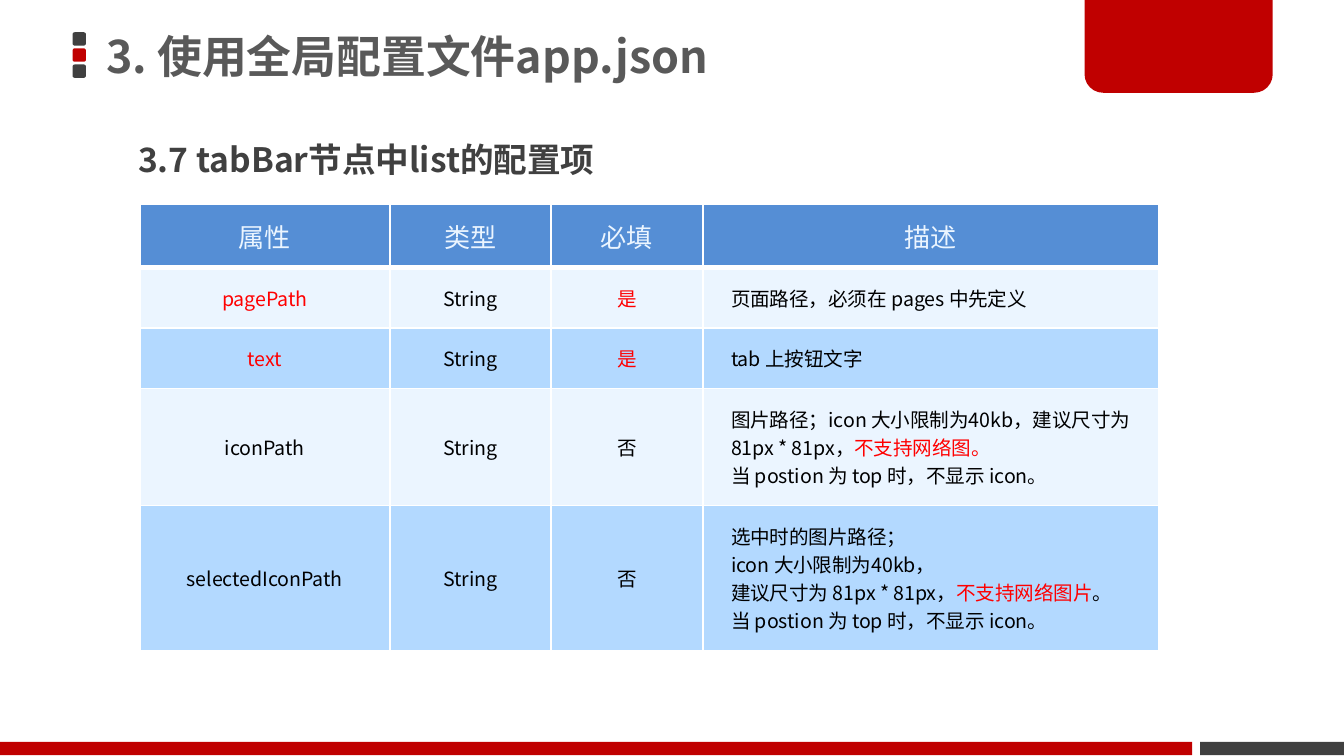
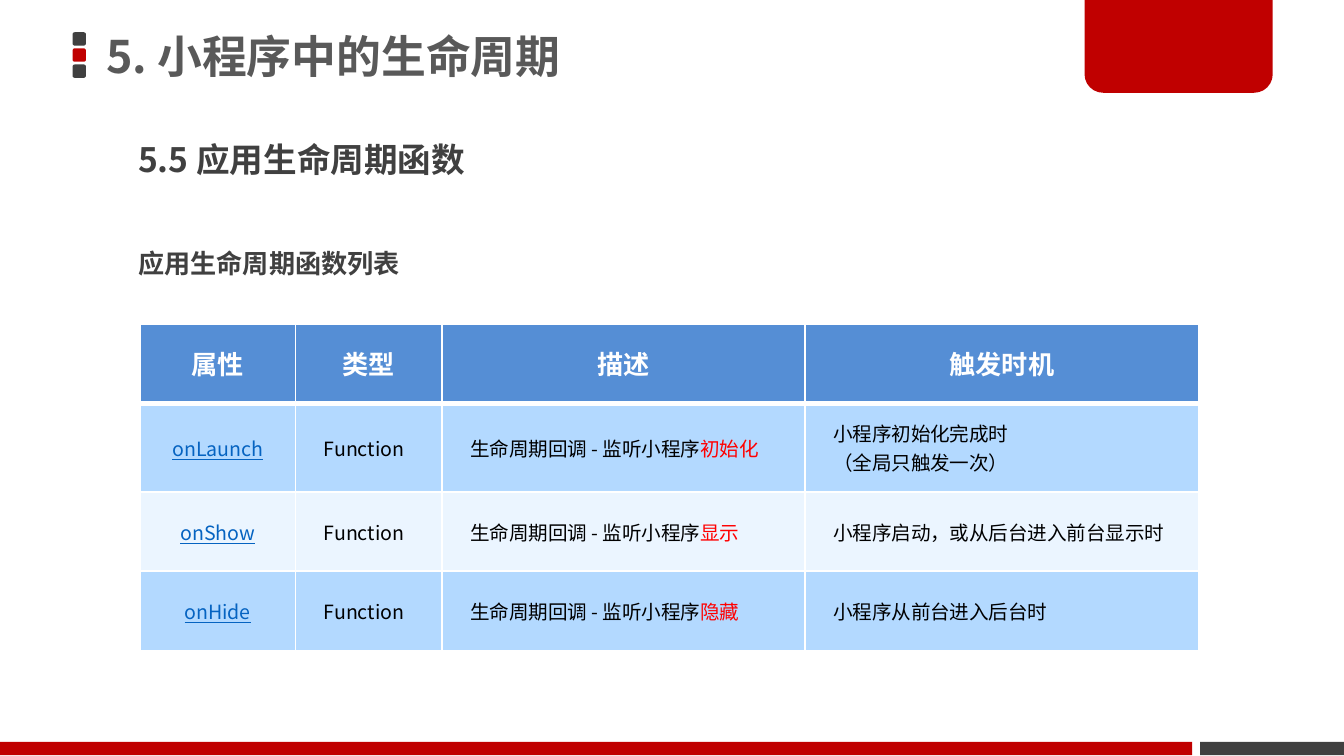
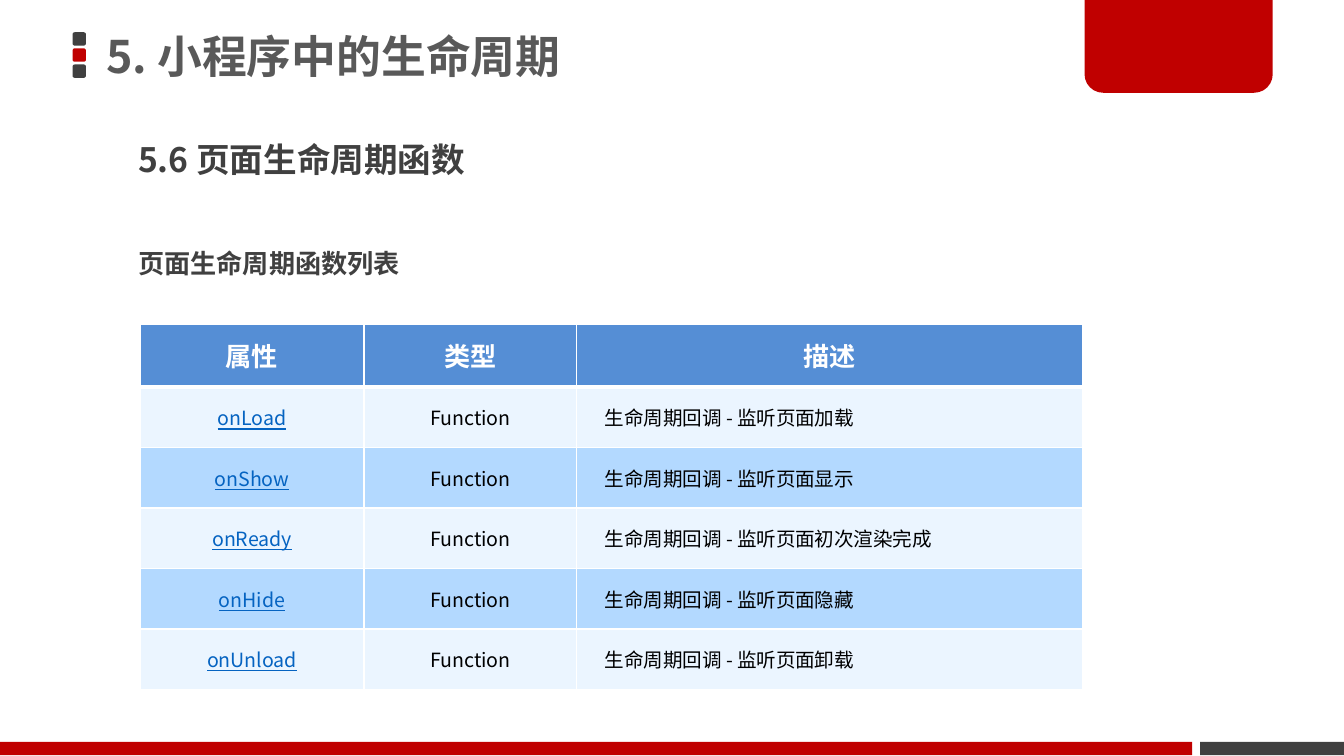
import pptx
import pptx.util
from lxml import etree
from pptx.dml.color import RGBColor
from pptx.enum.shapes import MSO_SHAPE
from pptx.enum.text import MSO_ANCHOR, MSO_AUTO_SIZE, PP_ALIGN
from pptx.oxml.ns import qn
from pptx.util import Inches

FONT = "Noto Sans CJK SC"
CRIMSON = RGBColor(0xC0, 0x00, 0x00)
DARK = RGBColor(0x40, 0x40, 0x40)
TITLE_GREY = RGBColor(0x59, 0x59, 0x59)
RED = RGBColor(0xFF, 0x00, 0x00)
BLACK = RGBColor(0x00, 0x00, 0x00)
WHITE = RGBColor(0xFF, 0xFF, 0xFF)
LINK_BLUE = RGBColor(0x05, 0x63, 0xC1)
HEADER_BLUE = RGBColor(0x55, 0x8E, 0xD5)
PALE = RGBColor(0xEB, 0xF5, 0xFF)
SKY = RGBColor(0xB3, 0xD9, 0xFF)

# Bands and marks on every slide: preset, left, top, width, height, colour, adjustments
DECORATION = [
    (MSO_SHAPE.ROUNDED_RECTANGLE, 0.54, 0.24, 0.1, 0.1, DARK, [0.167]),
    (MSO_SHAPE.ROUNDED_RECTANGLE, 0.54, 0.36, 0.1, 0.1, CRIMSON, [0.167]),
    (MSO_SHAPE.ROUNDED_RECTANGLE, 0.54, 0.48, 0.1, 0.1, DARK, [0.167]),
    (MSO_SHAPE.RECTANGLE, 8.93, 5.52, 1.07, 0.1, DARK, []),
    (MSO_SHAPE.ROUND_2_SAME_RECTANGLE, 8.07, 0, 1.4, 0.69, CRIMSON, [0, 0.2]),
    (MSO_SHAPE.RECTANGLE, 0, 5.52, 8.87, 0.1, CRIMSON, []),
]

# Slide contents; text between bars is red, \n starts a paragraph, \v breaks a line
ICON_NOTE = "当 postion 为 top 时，不显示".replace(" ", chr(160)) + " icon。"
CALLBACK = "生命周期回调 - 监听"
PAGE_HOOKS = [("onLoad", "加载"), ("onShow", "显示"), ("onReady", "初次渲染完成"),
              ("onHide", "隐藏"), ("onUnload", "卸载")]
SLIDES = [
    {
        "title": "3. 使用全局配置文件app.json",
        "heading": "3.7 tabBar节点中list的配置项",
        "caption": None,
        "top": 1.52,
        "columns": [1.86, 1.2, 1.13, 3.39],
        "row_heights": [0.47, 0.42, 0.42, 0.72, 0.42],
        "header_style": (PALE, False),
        "bands": [PALE, SKY],
        "links": False,
        "centred": 3,
        "rows": [
            ["属性", "类型", "必填", "描述"],
            ["|pagePath|", "String", "|是|", "页面路径，必须在 pages 中先定义"],
            ["|text|", "String", "|是|", "tab 上按钮文字"],
            ["iconPath", "String", "否",
             "图片路径；icon 大小限制为40kb，建议尺寸为 81px * 81px，|不支持网络图。|" + ICON_NOTE],
            ["selectedIconPath", "String", "否",
             "选中时的图片路径；\nicon 大小限制为40kb，\n"
             "建议尺寸为 81px * 81px，|不支持网络图片|。\v" + ICON_NOTE],
        ],
    },
    {
        "title": "5. 小程序中的生命周期",
        "heading": "5.5 应用生命周期函数",
        "caption": "应用生命周期函数列表",
        "top": 2.41,
        "columns": [1.16, 1.09, 2.7, 2.93],
        "row_heights": [0.59] * 4,
        "header_style": (WHITE, True),
        "bands": [SKY, PALE],
        "links": True,
        "centred": 1,
        "rows": [
            ["属性", "类型", "描述", "触发时机"],
            ["onLaunch", "Function", CALLBACK + "小程序|初始化|",
             "小程序初始化完成时\n（全局只触发一次）"],
            ["onShow", "Function", CALLBACK + "小程序|显示|", "小程序启动，或从后台进入前台显示时"],
            ["onHide", "Function", CALLBACK + "小程序|隐藏|", "小程序从前台进入后台时"],
        ],
    },
    {
        "title": "5. 小程序中的生命周期",
        "heading": "5.6 页面生命周期函数",
        "caption": "页面生命周期函数列表",
        "top": 2.41,
        "columns": [1.67, 1.58, 3.77],
        "row_heights": [0.47] + [0.42] * 5,
        "header_style": (WHITE, True),
        "bands": [PALE, SKY],
        "links": True,
        "centred": 2,
        "rows": [["属性", "类型", "描述"]]
        + [[name, "Function", CALLBACK + "页面" + event] for name, event in PAGE_HOOKS],
    },
]


def write_text(frame, text, size, color, bold=False, alignment=PP_ALIGN.LEFT, underline=False):
    for index, line in enumerate(text.split("\n")):
        paragraph = frame.add_paragraph() if index else frame.paragraphs[0]
        paragraph.alignment = alignment
        font = paragraph.font
        font.name, font.size, font.bold = FONT, pptx.util.Pt(size), bold
        font.underline = underline
        font.color.rgb = color
        etree.SubElement(paragraph._p.pPr.defRPr, qn("a:ea"), typeface=FONT)
        for part_index, part in enumerate(line.split("|")):
            for piece_index, piece in enumerate(part.split("\v")):
                if piece_index:
                    paragraph.add_line_break()
                if piece:
                    run = paragraph.add_run()
                    run.text = piece
                    if part_index % 2:
                        run.font.color.rgb = RED


def write_heading(shape, box, text, size, color, anchor):
    shape.left, shape.top, shape.width, shape.height = map(Inches, box)
    frame = shape.text_frame
    frame.word_wrap = True
    frame.auto_size = MSO_AUTO_SIZE.NONE
    frame.vertical_anchor = anchor
    frame.margin_left = frame.margin_right = Inches(0.1)
    frame.margin_top = frame.margin_bottom = Inches(0.05)
    write_text(frame, text, size, color, bold=True)
    frame.paragraphs[0].line_spacing = 0.9


presentation = pptx.Presentation()
presentation.slide_width = Inches(10)
presentation.slide_height = presentation.slide_width * 9 // 16

for content in SLIDES:
    slide = presentation.slides.add_slide(presentation.slide_layouts[5])

    # Bands and marks
    for preset, left, top, width, height, color, adjustments in DECORATION:
        shape = slide.shapes.add_shape(
            preset, Inches(left), Inches(top), Inches(width), Inches(height))
        for index, value in enumerate(adjustments):
            shape.adjustments[index] = value
        shape.shadow.inherit = False
        shape.fill.solid()
        shape.fill.fore_color.rgb = color
        shape.line.fill.background()

    # Title and headings
    write_heading(slide.shapes.title, (0.69, 0, 7.37, 0.87), content["title"],
                  24, TITLE_GREY, MSO_ANCHOR.MIDDLE)
    for top, text, size in ((1.02, content["heading"], 18), (1.82, content["caption"], 14)):
        if text:
            write_heading(slide.shapes.add_textbox(0, 0, 0, 0), (0.93, top, 7.1, 0.59),
                          text, size, DARK, MSO_ANCHOR.TOP)

    # Table
    rows, columns, heights = content["rows"], content["columns"], content["row_heights"]
    table = slide.shapes.add_table(
        len(rows), len(columns), Inches(1.04), Inches(content["top"]),
        Inches(sum(columns)), Inches(sum(heights))).table
    for column, width in zip(table.columns, columns):
        column.width = Inches(width)
    for row_index, texts in enumerate(rows):
        table.rows[row_index].height = Inches(heights[row_index])
        is_header = row_index == 0
        for column_index, text in enumerate(texts):
            cell = table.cell(row_index, column_index)
            cell.vertical_anchor = MSO_ANCHOR.MIDDLE
            cell.margin_left = cell.margin_right = Inches(0.22 if is_header else 0.21)
            cell.margin_top = cell.margin_bottom = Inches(0.06 if is_header else 0.12)

            # White borders, thicker between header and body
            for side in "LRTB":
                thick = (row_index, side) in ((0, "B"), (1, "T"))
                border = etree.SubElement(cell._tc.get_or_add_tcPr(), qn("a:ln" + side),
                                          w=str(pptx.util.Pt(3 if thick else 1)))
                border_fill = etree.SubElement(border, qn("a:solidFill"))
                etree.SubElement(border_fill, qn("a:srgbClr"), val=str(WHITE))

            cell.fill.solid()
            if is_header:
                cell.fill.fore_color.rgb = HEADER_BLUE
                color, bold = content["header_style"]
                write_text(cell.text_frame, text, 14, color, bold, PP_ALIGN.CENTER)
            else:
                cell.fill.fore_color.rgb = content["bands"][(row_index - 1) % 2]
                is_link = content["links"] and column_index == 0
                centred = column_index < content["centred"]
                write_text(cell.text_frame, text, 10.5, LINK_BLUE if is_link else BLACK,
                           alignment=PP_ALIGN.CENTER if centred else PP_ALIGN.LEFT,
                           underline=is_link)

presentation.save("out.pptx")
